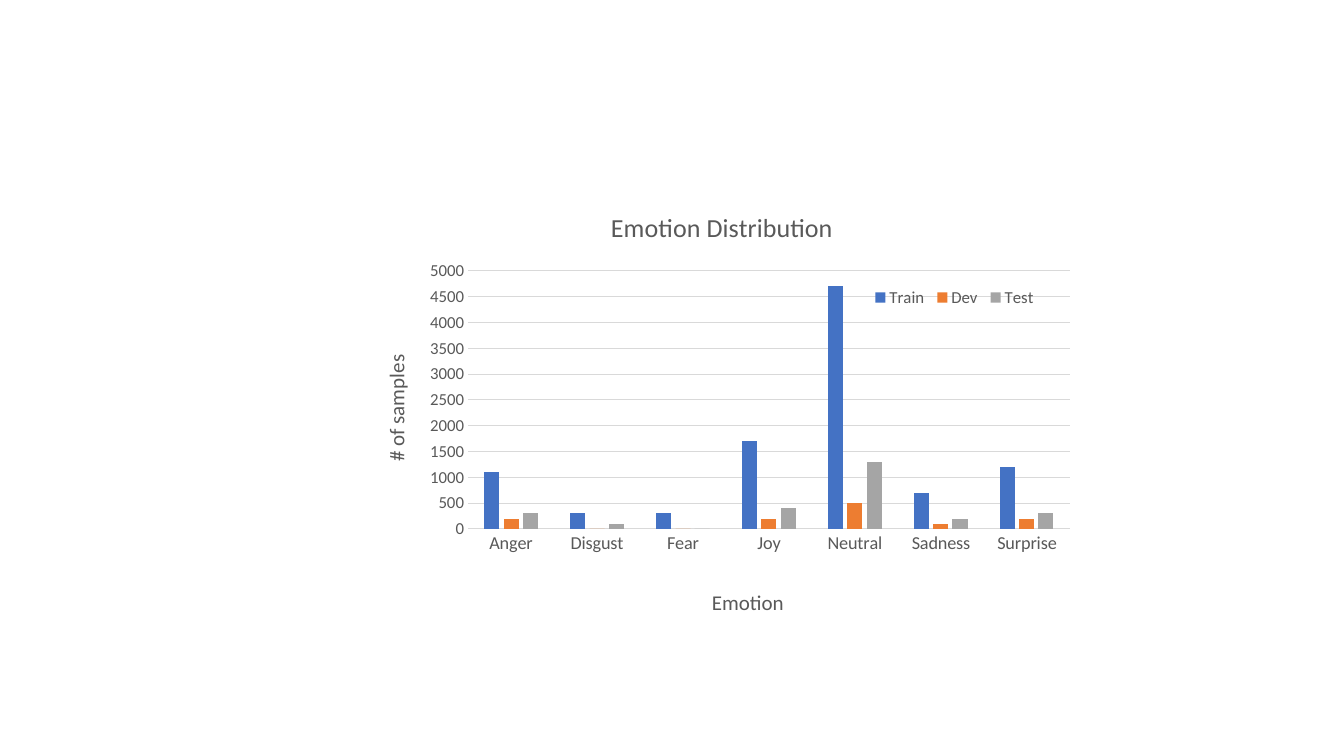
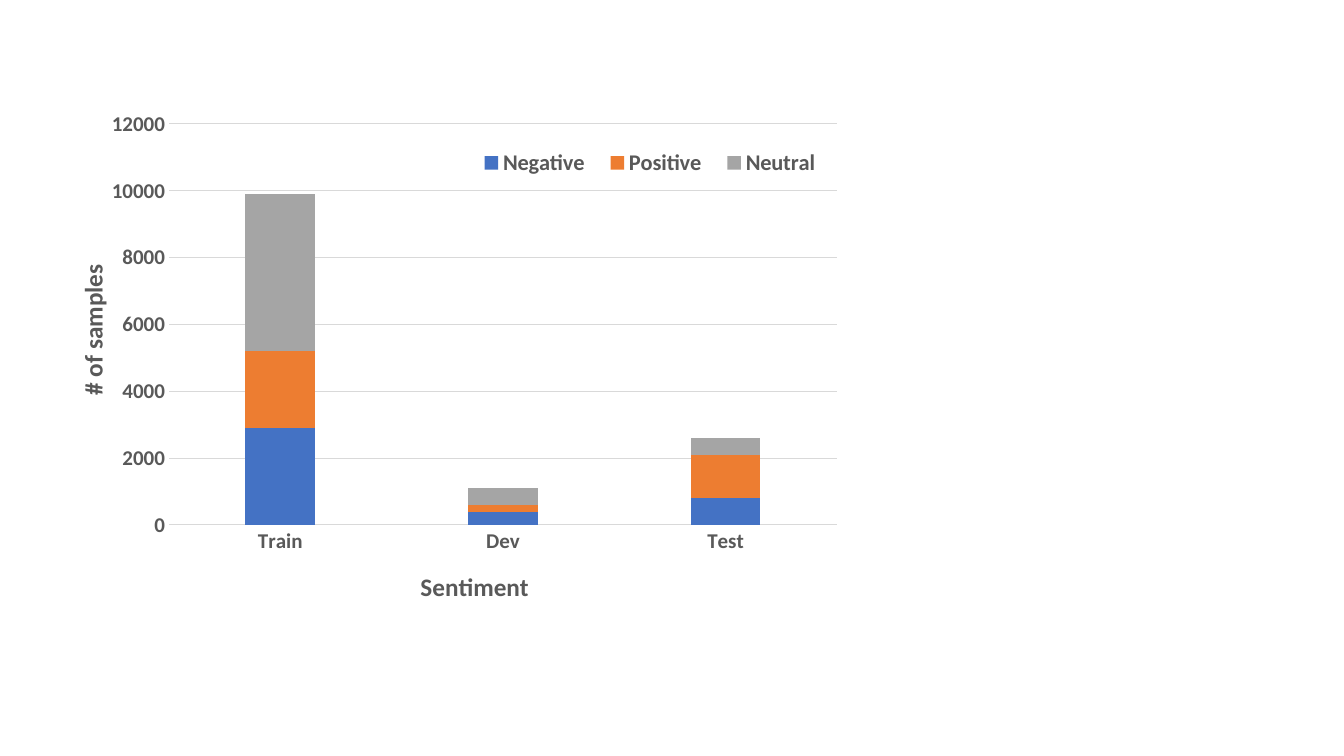
from lxml.etree import SubElement
from pptx import Presentation
from pptx.chart.data import CategoryChartData
from pptx.dml.color import RGBColor
from pptx.enum.chart import XL_CHART_TYPE, XL_LEGEND_POSITION, XL_TICK_MARK
from pptx.oxml.ns import qn
from pptx.util import Emu, Pt

# Shared style
PX = 9071  # EMU in one px, at 100.8 px to the inch
SLIDE_SIZE = (1344, 756)
FONT = "Calibri"
TEXT, GRID = "595959", "D9D9D9"
SERIES_COLORS = ("4472C4", "ED7D31", "A5A5A5")

# Content: boxes are (left, top, width, height) and spots (left, top), in px on the slide
CHARTS = [
    {
        "kind": XL_CHART_TYPE.COLUMN_CLUSTERED, "overlap": -27, "bold": False,
        "title": ("Emotion Distribution", 18.6),
        "categories": ["Anger", "Disgust", "Fear", "Joy", "Neutral", "Sadness", "Surprise"],
        "series": {
            "Train": [1100, 300, 300, 1700, 4700, 700, 1200],
            "Dev": [200, 0, 0, 200, 500, 100, 200],
            "Test": [300, 100, 0, 400, 1300, 200, 300],
        },
        "scale": (5000, 500),
        "frame": (360, 190, 724, 465), "plot": (468, 271, 602, 258),
        "legend": (868, 286, 173, 23), "legend_size": 12,
        "category_axis": ("Emotion", (708, 584), 15, 13),
        "value_axis": ("# of samples", (378, 351), 15, 12),
    },
    {
        "kind": XL_CHART_TYPE.COLUMN_STACKED, "overlap": 100, "bold": True,
        "title": None,
        "categories": ["Train", "Dev", "Test"],
        "series": {
            "Negative": [2900, 400, 800],
            "Positive": [2300, 200, 1300],
            "Neutral": [4700, 500, 500],
        },
        "scale": (12000, 2000),
        "frame": (71, 71, 820, 568), "plot": (169, 124, 668, 401),
        "legend": (466, 148, 368, 30), "legend_size": 16,
        "category_axis": ("Sentiment", (416, 565), 18, 15),
        "value_axis": ("# of samples", (71, 260), 18, 15),
    },
]


def color(value):
    return RGBColor.from_string(value)


def style_font(font, size, bold):
    font.name, font.size, font.bold = FONT, Pt(size), bold
    font.color.rgb = color(TEXT)


def place(part, index, box, frame, inner=False):
    """Give a chart part a manual layout, as fractions of the chart frame."""
    for old in part.findall(qn("c:layout")):
        part.remove(old)
    layout = part.makeelement(qn("c:layout"))
    part.insert(index, layout)
    manual = SubElement(layout, qn("c:manualLayout"))
    left, top, width, height = frame
    fractions = [(box[0] - left) / width, (box[1] - top) / height]
    fractions += [length / whole for length, whole in zip(box[2:], (width, height))]
    settings = [("layoutTarget", "inner")] if inner else []
    settings += [("xMode", "edge"), ("yMode", "edge")]
    settings += [(tag, f"{share:.4f}") for tag, share in zip("xywh", fractions)]
    for tag, value in settings:
        SubElement(manual, qn(f"c:{tag}")).set("val", value)


def set_title(text_frame, text, size, bold):
    text_frame.text = text
    style_font(text_frame.paragraphs[0].font, size, bold)


def style_axis(axis, content, frame, bold):
    text, spot, title_size, label_size = content
    set_title(axis.axis_title.text_frame, text, title_size, bold)
    place(axis.axis_title._element, 1, spot, frame)
    axis.major_tick_mark = axis.minor_tick_mark = XL_TICK_MARK.NONE
    style_font(axis.tick_labels.font, label_size, bold)


def add_column_chart(slide, content):
    frame, bold = content["frame"], content["bold"]
    data = CategoryChartData()
    data.categories = content["categories"]
    for name, values in content["series"].items():
        data.add_series(name, values)
    box = [Emu(length * PX) for length in frame]
    chart = slide.shapes.add_chart(content["kind"], *box, data).chart
    chart.font.name, chart.font.size = FONT, Pt(10)

    # Title
    chart.has_title = content["title"] is not None
    if chart.has_title:
        set_title(chart.chart_title.text_frame, *content["title"], bold)

    # Columns
    columns = chart.plots[0]
    columns.gap_width, columns.overlap = 219, content["overlap"]
    columns.vary_by_categories = False
    for series, fill in zip(columns.series, SERIES_COLORS):
        series.format.fill.solid()
        series.format.fill.fore_color.rgb = color(fill)
        series.invert_if_negative = False
    place(chart._chartSpace.chart.plotArea, 0, content["plot"], frame, inner=True)

    # Axes and gridlines
    categories, samples = chart.category_axis, chart.value_axis
    style_axis(categories, content["category_axis"], frame, bold)
    style_axis(samples, content["value_axis"], frame, bold)
    samples.axis_title._element.find(".//" + qn("a:bodyPr")).set("rot", "-5400000")
    samples.minimum_scale = 0
    samples.maximum_scale, samples.major_unit = content["scale"]
    samples.format.line.fill.background()
    for line in (categories.format.line, samples.major_gridlines.format.line):
        line.color.rgb, line.width = color(GRID), Pt(0.75)

    # Legend
    chart.has_legend = True
    chart.legend.position = XL_LEGEND_POSITION.BOTTOM
    chart.legend.include_in_layout = False
    style_font(chart.legend.font, content["legend_size"], bold)
    place(chart.legend._element, 1, content["legend"], frame)


def main():
    deck = Presentation()
    deck.slide_width, deck.slide_height = (Emu(length * PX) for length in SLIDE_SIZE)
    blank = deck.slide_layouts[6]
    for content in CHARTS:
        add_column_chart(deck.slides.add_slide(blank), content)
    deck.save("out.pptx")


if __name__ == "__main__":
    main()
